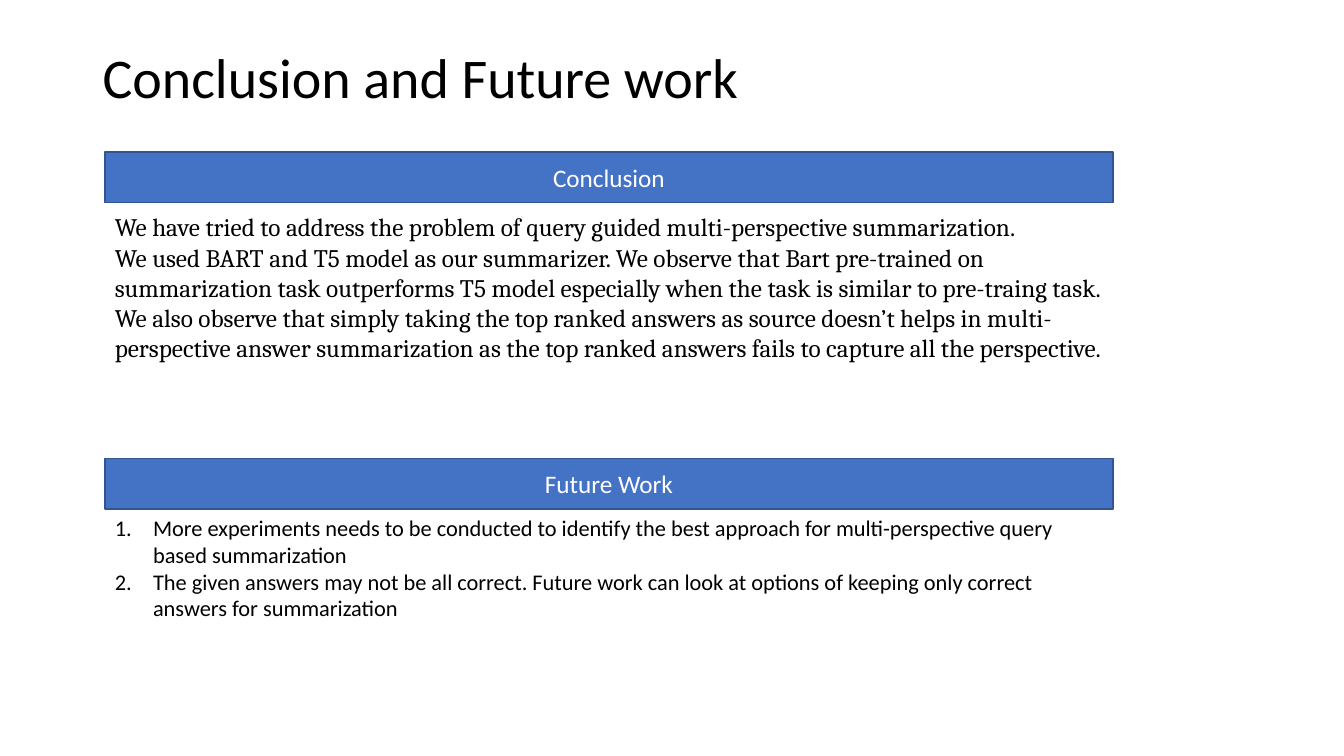
from lxml import etree
from pptx import Presentation, util as u
from pptx.dml.color import RGBColor
from pptx.enum import shapes, text
from pptx.oxml.ns import qn

LEFT, WIDTH, BAR_HEIGHT = 1.04, 10, 0.5
BLACK, WHITE, BLUE, NAVY = "000000", "FFFFFF", "4472C4", "325491"

CONCLUSIONS = [
    "We have tried to address the problem of query guided multi-perspective summarization.",
    "We used BART and T5 model as our summarizer. We observe that Bart pre-trained on "
    "summarization task outperforms T5 model especially when the task is similar to "
    "pre-traing task.",
    "We also observe that simply taking the top ranked answers as source doesn’t helps in "
    "multi-perspective answer summarization as the top ranked answers fails to capture all "
    "the perspective.",
]
FUTURE_WORK = [
    "More experiments needs to be conducted to identify the best approach for "
    "multi-perspective query based summarization",
    "The given answers may not be all correct. Future work can look at options of keeping "
    "only correct answers for summarization",
]


def color(value):
    return RGBColor.from_string(value)


def set_all(target, values):
    for name, value in values.items():
        setattr(target, name, value)


def write(shape, lines, size, font="Calibri", ink=BLACK, frame_format=None, **para_format):
    """Fill a shape with one paragraph per line and return the paragraphs."""
    frame = shape.text_frame
    set_all(frame, {"word_wrap": True, **(frame_format or {})})
    for index, line in enumerate(lines):
        para = frame.paragraphs[0] if index == 0 else frame.add_paragraph()
        set_all(para, para_format)
        span = para.add_run()
        span.text = line
        set_all(span.font, {"name": font, "size": u.Pt(size)})
        span.font.color.rgb = color(ink)
    return frame.paragraphs


def add_text(page, place, lines, size, **options):
    box = page.shapes.add_textbox(*map(u.Inches, place))
    return write(box, lines, size, **options)


def add_heading_bar(page, top, label):
    bar = page.shapes.add_shape(
        shapes.MSO_SHAPE.RECTANGLE, *map(u.Inches, (LEFT, top, WIDTH, BAR_HEIGHT)))
    bar.shadow.inherit = False
    bar.fill.solid()
    bar.fill.fore_color.rgb = color(BLUE)
    bar.line.color.rgb = color(NAVY)
    bar.line.width = u.Pt(1)
    write(bar, [label], 18, ink=WHITE,
          frame_format={"vertical_anchor": text.MSO_ANCHOR.MIDDLE},
          alignment=text.PP_ALIGN.CENTER)


def number(paras, indent=0.38):
    """Give paragraphs automatic numbers with a hanging indent."""
    for para in paras:
        props = para._p.get_or_add_pPr()
        props.set("marL", str(u.Inches(indent)))
        props.set("indent", str(-u.Inches(indent)))
        etree.SubElement(props, qn("a:buFont"), typeface="+mj-lt")
        etree.SubElement(props, qn("a:buAutoNum"), type="arabicPeriod")


def main():
    deck = Presentation()
    set_all(deck, {"slide_width": u.Inches(13.33), "slide_height": u.Inches(7.5)})
    page = deck.slides.add_slide(deck.slide_layouts[6])
    grow = {"auto_size": text.MSO_AUTO_SIZE.SHAPE_TO_FIT_TEXT}

    # Title
    add_text(page, (0.92, 0.4, 11.5, 0.79), ["Conclusion and Future work"], 40,
             frame_format={"vertical_anchor": text.MSO_ANCHOR.MIDDLE}, line_spacing=0.9)

    # Conclusion
    add_heading_bar(page, 1.51, "Conclusion")
    add_text(page, (LEFT, 2.05, WIDTH, 1.62), CONCLUSIONS, 18,
             font="Cambria", frame_format=grow)

    # Future work
    add_heading_bar(page, 4.55, "Future Work")
    number(add_text(page, (LEFT, 5.05, WIDTH, 1.18), FUTURE_WORK, 16, frame_format=grow))

    deck.save("out.pptx")


if __name__ == "__main__":
    main()
